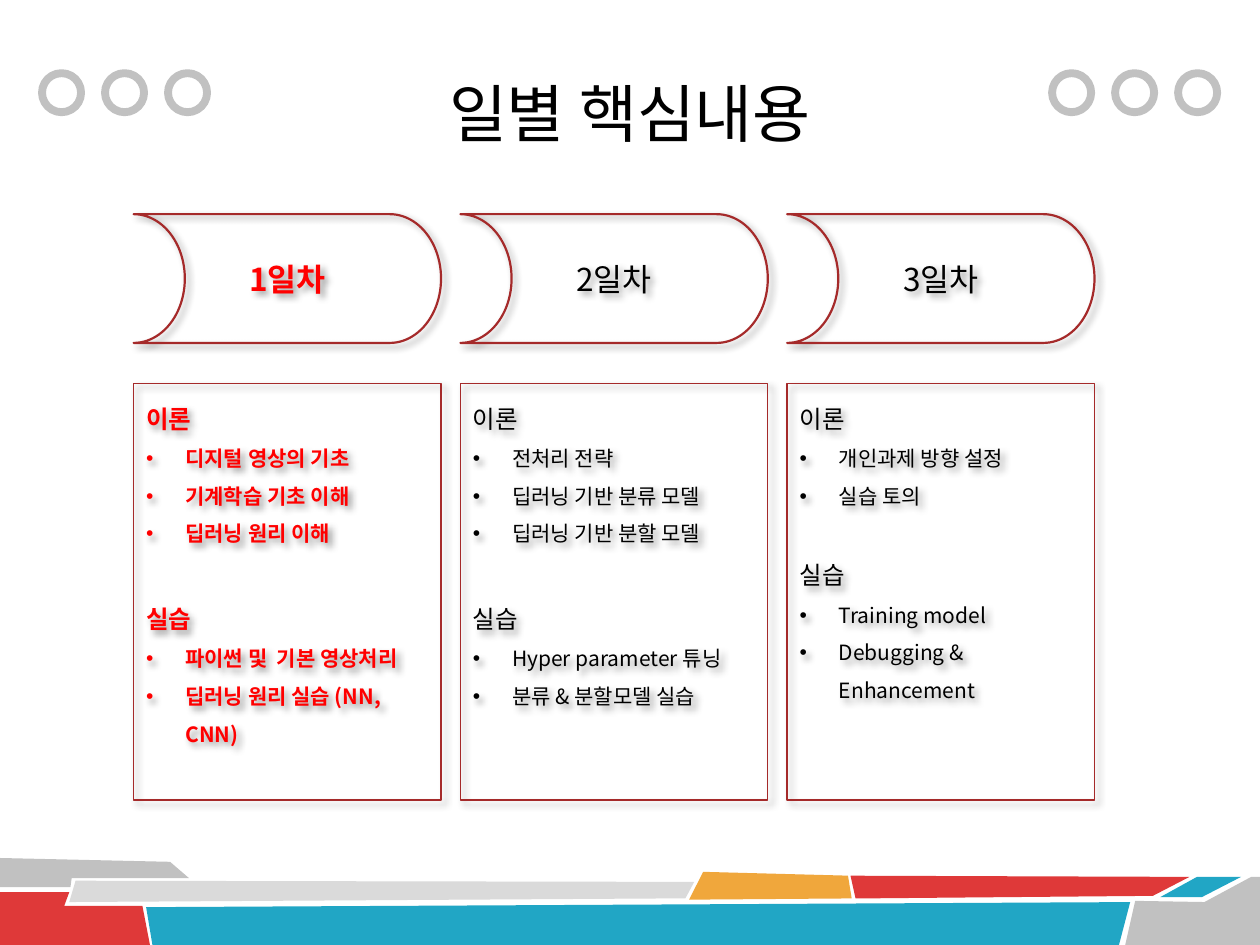
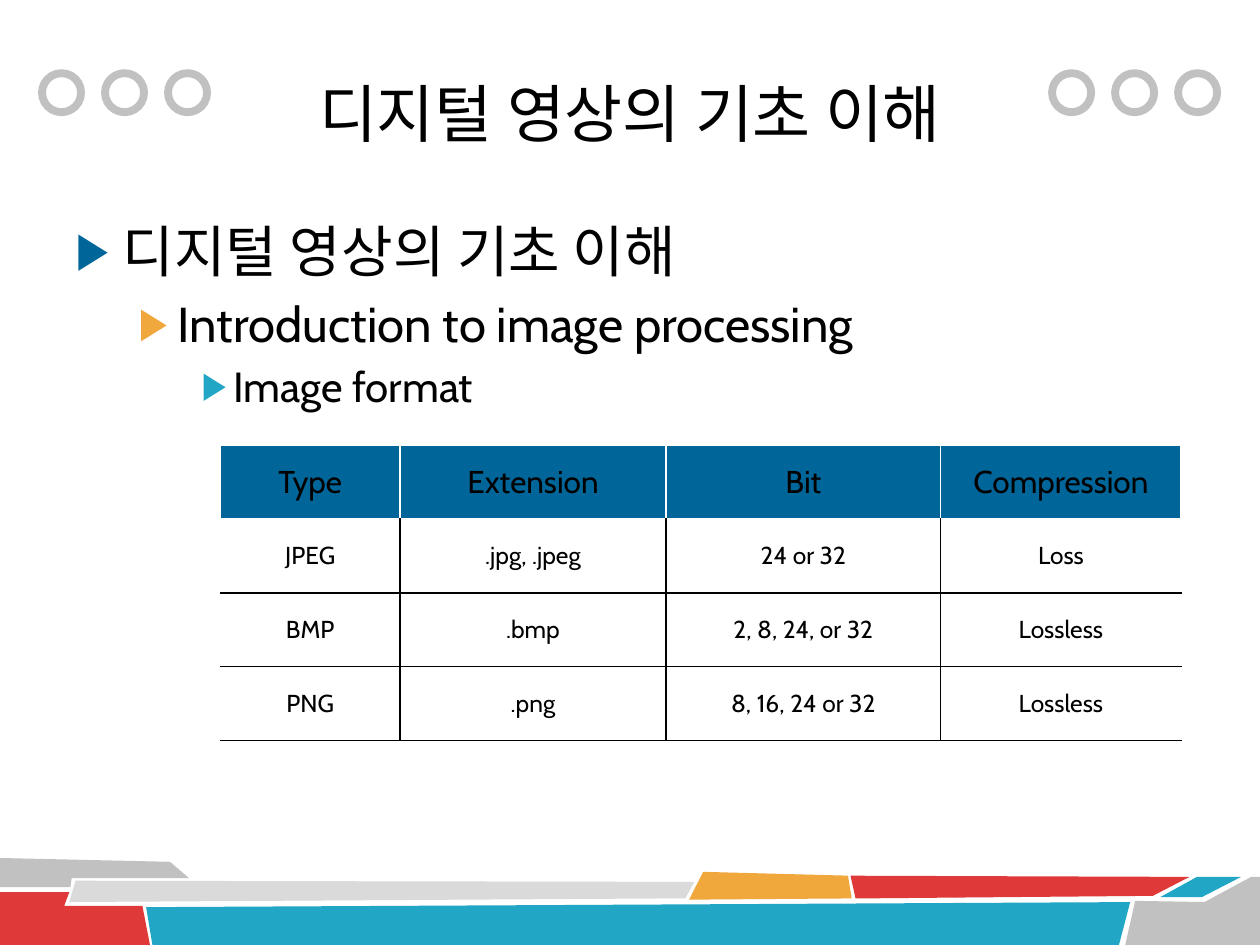
from dataclasses import dataclass
from typing import Optional

import lxml.etree
import pptx
import pptx.dml.color
import pptx.enum.shapes
import pptx.enum.text
import pptx.oxml
import pptx.oxml.ns
import pptx.util

Pt = pptx.util.Pt
RGBColor = pptx.dml.color.RGBColor
qn = pptx.oxml.ns.qn
SHAPES = pptx.enum.shapes.MSO_SHAPE
ALIGN = pptx.enum.text.PP_ALIGN
ANCHOR = pptx.enum.text.MSO_ANCHOR

# Colours and fonts
BLACK = RGBColor(0x00, 0x00, 0x00)
WHITE = RGBColor(0xFF, 0xFF, 0xFF)
GRAY = RGBColor(0xC1, 0xC1, 0xC1)
LIGHT_GRAY = RGBColor(0xDA, 0xDA, 0xDA)
CRIMSON = RGBColor(0xDF, 0x39, 0x39)
TEAL = RGBColor(0x21, 0xA6, 0xC5)
AMBER = RGBColor(0xF0, 0xA7, 0x3C)
NAVY = RGBColor(0x00, 0x66, 0x99)
BROWN = RGBColor(0xA5, 0x2A, 0x2A)
RED = RGBColor(0xFF, 0x00, 0x00)
KOREAN_FONT = "Noto Sans CJK KR"
TITLE_FONT = "Calibri"
BODY_FONT = "Cabin"


@dataclass(frozen=True)
class Band:
    color: RGBColor
    points: tuple


@dataclass(frozen=True)
class Bullet:
    character: str
    color: Optional[RGBColor] = None
    percent: int = 100
    indent: Optional[float] = None


@dataclass(frozen=True)
class Day:
    name: str
    theory: tuple
    practice: tuple
    gap: float = 25
    color: RGBColor = BLACK
    bold: bool = False


BANDS = (
    Band(GRAY, ((0, 490.3), (97.2, 492.5), (108, 501.8), (41, 501.8), (40.3, 506.9), (0, 506.9))),
    Band(CRIMSON, ((0, 509.8), (39.6, 509.8), (36.7, 517.7), (81.4, 517.7), (85.7, 540), (0, 540))),
    Band(LIGHT_GRAY, ((43.2, 503.3), (396.7, 504), (391.7, 513.4), (39.6, 515.5))),
    Band(TEAL, ((83.5, 518.4), (645.8, 515.5), (639.4, 540), (87.1, 540))),
    Band(AMBER, ((401.8, 498.2), (484.6, 500.4), (486.7, 513.4), (393.8, 514.1))),
    Band(CRIMSON, ((486, 500.4), (679.7, 501.1), (658.8, 511.9), (488.9, 513.4))),
    Band(TEAL, ((684, 501.1), (709.2, 501.1), (686.9, 512.6), (663.1, 512.6))),
    Band(GRAY, ((648.7, 514.8), (688.3, 515.5), (715, 501.1), (720, 501.1), (720, 540), (643, 540))),
)
RING_GROUP_LEFTS = (24, 601.2)
RING_STEP = 36

DAYS = (
    Day("1일차", ("디지털 영상의 기초", "기계학습 기초 이해", "딥러닝 원리 이해"),
        ("파이썬 및  기본 영상처리", "딥러닝 원리 실습 (NN, CNN)"), color=RED, bold=True),
    Day("2일차", ("전처리 전략", "딥러닝 기반 분류 모델", "딥러닝 기반 분할 모델"),
        ("Hyper parameter 튜닝", "분류 & 분할모델 실습")),
    Day("3일차", ("개인과제 방향 설정", "실습 토의"),
        ("Training model", "Debugging & Enhancement"), gap=21.5),
)
DAY_LEFT, DAY_STEP, DAY_WIDTH = 76.4, 186.7, 175.7

OUTLINE = (
    ("디지털 영상의 기초 이해", 32, NAVY),
    ("Introduction to image processing", 28, AMBER),
    ("Image format", 24, TEAL),
)
FORMATS = (
    ("Type", "Extension", "Bit", "Compression"),
    ("JPEG", ".jpg, .jpeg", "24 or 32", "Loss"),
    ("BMP", ".bmp", "2, 8, 24, or 32", "Lossless"),
    ("PNG", ".png", "8, 16, 24 or 32", "Lossless"),
)
COLUMN_WIDTHS = (102.6, 152, 157, 137.4)
ROW_HEIGHT = 42.2


def add_xml(parent, tag: str, **attributes):
    return lxml.etree.SubElement(parent, qn(tag), {key: str(value) for key, value in attributes.items()})


def write(frame, text: str, *, size: float, font: str, color: RGBColor = BLACK, bold: bool = False,
          align=None, level: int = 0, line_spacing=None, space_before: float = 0,
          bullet: Optional[Bullet] = None, east_asian: Optional[str] = None) -> None:
    """Fill the empty first paragraph of a frame, or append a new one."""
    paragraph = frame.paragraphs[0]
    if paragraph.runs:
        paragraph = frame.add_paragraph()
    if bullet:
        properties = paragraph._p.get_or_add_pPr()
        if bullet.indent:
            properties.set("marL", str(Pt(bullet.indent)))
            properties.set("indent", str(-Pt(bullet.indent)))
        if bullet.color:
            add_xml(add_xml(properties, "a:buClr"), "a:srgbClr", val=bullet.color)
        add_xml(properties, "a:buSzPct", val=bullet.percent * 1000)
        add_xml(properties, "a:buFont", typeface="Arial")
        add_xml(properties, "a:buChar", char=bullet.character)
    paragraph.level = level
    paragraph.alignment = align
    paragraph.line_spacing = line_spacing
    paragraph.space_before = Pt(space_before)
    run = paragraph.add_run()
    run.text = text
    run.font.size = Pt(size)
    run.font.bold = bold
    run.font.color.rgb = color
    run.font.name = font
    if east_asian:
        add_xml(run._r.get_or_add_rPr(), "a:ea", typeface=east_asian)


def place(shape, left: float, top: float, width: float, height: float) -> None:
    shape.left, shape.top, shape.width, shape.height = map(Pt, (left, top, width, height))


# Shared slide furniture
def add_band(slide, band: Band):
    points = [(Pt(x), Pt(y)) for x, y in band.points]
    builder = slide.shapes.build_freeform(*points[0], scale=1.0)
    builder.add_line_segments(points[1:], close=True)
    shape = builder.convert_to_shape()
    shape.shadow.inherit = False
    shape.fill.solid()
    shape.fill.fore_color.rgb = band.color
    shape.line.fill.background()
    return shape


def add_outline_shape(slide, kind, box: tuple, color: RGBColor, width: float):
    shape = slide.shapes.add_shape(kind, *map(Pt, box))
    shape.shadow.inherit = False
    shape.fill.background()
    shape.line.color.rgb = color
    shape.line.width = Pt(width)
    return shape


def decorate_master(presentation, slide) -> None:
    """Draw bands and rings on a slide, then move them behind everything on the master."""
    decorations = [add_band(slide, band) for band in BANDS]
    for group_left in RING_GROUP_LEFTS:
        for index in range(3):
            box = (group_left + index * RING_STEP, 41.8, 22.3, 22.3)
            decorations.append(add_outline_shape(slide, SHAPES.OVAL, box, GRAY, 4.5))
    tree = presentation.slide_master.shapes.element
    for index, shape in enumerate(decorations):
        shape.element.xpath("./p:nvSpPr/p:cNvPr")[0].set("id", str(100 + index))
        tree.insert(2 + index, shape.element)


def set_title(slide, text: str) -> None:
    title = slide.shapes.title
    place(title, 126, 8.6, 468, 90)
    title.text_frame.auto_size = pptx.enum.text.MSO_AUTO_SIZE.NONE
    title.text_frame.vertical_anchor = ANCHOR.MIDDLE
    write(title.text_frame, text, size=36, font=TITLE_FONT, align=ALIGN.CENTER, line_spacing=1.5)


# Daily plan
def add_day_shape(slide, kind, box: tuple, line_width: float, anchor):
    shape = add_outline_shape(slide, kind, box, BROWN, line_width)
    effects = shape.element.spPr.find(qn("a:effectLst"))
    shadow = add_xml(effects, "a:outerShdw", blurRad=Pt(4), dist=Pt(3), dir=45 * 60000,
                     algn="tl", rotWithShape=0)
    add_xml(add_xml(shadow, "a:srgbClr", val=BLACK), "a:alpha", val=40000)
    shape.text_frame.word_wrap = True
    shape.text_frame.vertical_anchor = anchor
    return shape


def add_day(slide, day: Day, left: float) -> None:
    style = dict(font=KOREAN_FONT, east_asian=KOREAN_FONT, color=day.color, bold=day.bold)
    arrow = add_day_shape(slide, SHAPES.FLOWCHART_STORED_DATA, (left, 122.4, DAY_WIDTH, 73.6),
                          1.25, ANCHOR.MIDDLE)
    arrow.element.spPr.find(qn("a:xfrm")).set("flipH", "1")
    write(arrow.text_frame, day.name, size=18, align=ALIGN.CENTER, **style)

    panel = add_day_shape(slide, SHAPES.RECTANGLE, (left, 219, DAY_WIDTH, 238.2), 0.75, ANCHOR.TOP)
    sections = (("이론", day.theory, 0), ("실습", day.practice, day.gap))
    for heading, topics, gap in sections:
        write(panel.text_frame, heading, size=14, align=ALIGN.LEFT, line_spacing=Pt(25),
              space_before=gap, **style)
        for topic in topics:
            write(panel.text_frame, topic, size=12, align=ALIGN.LEFT, line_spacing=Pt(21.5),
                  bullet=Bullet("•", indent=22.5), **style)


def build_daily_plan(slide) -> None:
    set_title(slide, "일별 핵심내용")
    for index, day in enumerate(DAYS):
        add_day(slide, day, DAY_LEFT + index * DAY_STEP)


# Image formats
def set_borders(cell, left: RGBColor, right: RGBColor, top: RGBColor, bottom: RGBColor) -> None:
    properties = cell._tc.get_or_add_tcPr()
    for tag, color in (("a:lnL", left), ("a:lnR", right), ("a:lnT", top), ("a:lnB", bottom)):
        line = add_xml(properties, tag, w=Pt(1))
        add_xml(add_xml(line, "a:solidFill"), "a:srgbClr", val=color)


def add_format_table(slide) -> None:
    frame = slide.shapes.add_table(len(FORMATS), len(COLUMN_WIDTHS), Pt(126), Pt(254.4),
                                   Pt(sum(COLUMN_WIDTHS)), Pt(ROW_HEIGHT * len(FORMATS)))
    table = frame.table
    table.first_row = table.horz_banding = False
    for column, width in zip(table.columns, COLUMN_WIDTHS):
        column.width = Pt(width)
    last_column = len(COLUMN_WIDTHS) - 1
    for row_index, values in enumerate(FORMATS):
        table.rows[row_index].height = Pt(ROW_HEIGHT)
        header = row_index == 0
        inner = WHITE if header else BLACK
        for column_index, value in enumerate(values):
            cell = table.cell(row_index, column_index)
            set_borders(cell,
                        left=inner if column_index > 0 else WHITE,
                        right=inner if column_index < last_column else WHITE,
                        top=BLACK if row_index > 1 else WHITE,
                        bottom=inner)
            if header:
                cell.fill.solid()
                cell.fill.fore_color.rgb = NAVY
            else:
                cell.fill.background()
            cell.vertical_anchor = ANCHOR.MIDDLE
            write(cell.text_frame, value, size=18 if header else 14, font=BODY_FONT, align=ALIGN.CENTER)


def build_image_formats(slide) -> None:
    set_title(slide, "디지털 영상의 기초 이해")
    body = slide.placeholders[1]
    place(body, 36, 120, 648, 362)
    for level, (text, size, color) in enumerate(OUTLINE):
        write(body.text_frame, text, size=size, font=BODY_FONT, level=level,
              space_before=round(size * 0.2, 1) if level else 0, bullet=Bullet("▶", color, 90))
    add_format_table(slide)


def main() -> None:
    presentation = pptx.Presentation()
    presentation.slide_width, presentation.slide_height = Pt(720), Pt(540)
    layouts = presentation.slide_layouts
    plan_slide = presentation.slides.add_slide(layouts.get_by_name("Title Only"))
    decorate_master(presentation, plan_slide)
    build_daily_plan(plan_slide)
    build_image_formats(presentation.slides.add_slide(layouts.get_by_name("Title and Content")))
    presentation.save("out.pptx")


if __name__ == "__main__":
    main()
